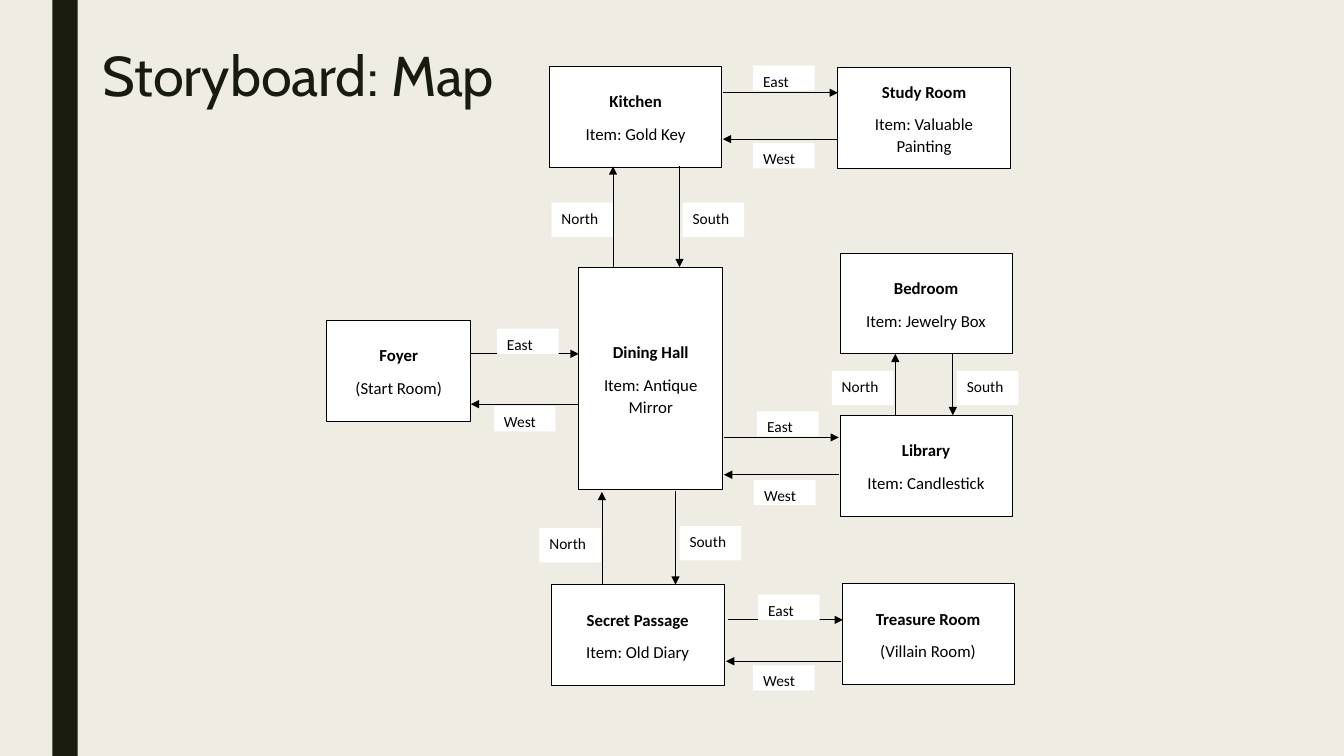
import dataclasses
import typing

import lxml.etree
import pptx
import pptx.dml.color
import pptx.enum.shapes
import pptx.enum.text
import pptx.oxml.ns
import pptx.util

# Grid: one column or row is a tenth of an inch
COLS, ROWS = 133.3, 75
HUES = {"paper": "EFEDE3", "dark": "191B0E", "white": "FFFFFF", "black": "000000"}
STEPS = {"East": (1, 0), "West": (-1, 0), "North": (0, -1), "South": (0, 1)}
MIDDLE = pptx.enum.text.MSO_ANCHOR.MIDDLE
TOP = pptx.enum.text.MSO_ANCHOR.TOP
CENTER = pptx.enum.text.PP_ALIGN.CENTER
LEFT = pptx.enum.text.PP_ALIGN.LEFT

# Text formats
ROOM_PAR = {"alignment": CENTER, "line_spacing": 1.07, "space_after": pptx.util.Pt(8)}
TAG_PAR = {**ROOM_PAR, "alignment": LEFT}
TITLE_PAR = {"alignment": LEFT, "line_spacing": 0.89}
NOTE_FONT = {"name": "Calibri", "size": pptx.util.Pt(12), "bold": False}
NAME_FONT = {**NOTE_FONT, "bold": True}
TAG_FONT = {**NOTE_FONT, "size": pptx.util.Pt(11)}
TITLE_FONT = {"name": "Cabin", "size": pptx.util.Pt(40)}


@dataclasses.dataclass
class Room:
    name: str
    note: str
    col: float
    row: float
    wide: float = 17.1
    tall: float = 10


@dataclasses.dataclass
class Door:
    """An arrow from (col, row) that runs the given way, with its tag."""
    way: str
    col: float
    row: float
    length: float
    tag_col: float
    tag_row: float
    weight: float = 0.5


ROOMS = [
    Room("\N{NO-BREAK SPACE}Kitchen".strip(), "Item: Gold Key", 54.5, 6.6),
    Room("Study Room", "Item: Valuable Painting", 83.1, 6.7),
    Room("Bedroom", "Item: Jewelry Box", 83.3, 25.1),
    Room("Library", "Item: Candlestick", 83.3, 41.2),
    Room("Treasure Room", "(Villain Room)", 83.5, 57.9),
    Room("Foyer", "(Start Room)", 32.4, 31.8, wide=14.3),
    Room("Secret Passage", "Item: Old Diary", 54.7, 58),
    Room("Dining Hall", "Item: Antique Mirror", 57.4, 26.5, 14.3, 22.1),
]
ROOMS[0].name = "Kitchen"
DOORS = [
    Door("East", 71.7, 9.2, 11.4, 74.7, 6.5, 0.75),
    Door("West", 83.1, 13.8, 11.4, 74.7, 14.2),
    Door("North", 60.8, 26.5, 10, 54.7, 20.1),
    Door("South", 67.4, 16.5, 10, 67.7, 20.1),
    Door("East", 46.7, 35.1, 10.7, 49.3, 32.6),
    Door("West", 57.4, 40.1, 10.7, 49, 40.3),
    Door("East", 71.8, 43.4, 11.4, 75.1, 40.8, 0.75),
    Door("West", 83.2, 47.1, 11.4, 74.8, 47.6),
    Door("North", 88.8, 41.2, 6.1, 82.5, 36.8),
    Door("South", 94.5, 35.1, 6.1, 94.9, 36.8),
    Door("North", 59.7, 57.9, 9.1, 53.5, 52.4),
    Door("South", 67, 48.7, 9.3, 67.4, 52.2),
    Door("East", 72.2, 61.5, 11.4, 75.2, 59, 0.75),
    Door("West", 83.4, 65.6, 11.4, 74.7, 66),
]


def grid(*cells: float) -> list[int]:
    return [pptx.util.Inches(cell / 10) for cell in cells]


def hue(key: str) -> pptx.dml.color.RGBColor:
    return pptx.dml.color.RGBColor.from_string(HUES[key])


def style(target: typing.Any, values: dict) -> None:
    for key, value in values.items():
        setattr(target, key, value)


def write(shape, lines: list[tuple[str, dict]], form: dict, ink="black", anchor=TOP) -> None:
    frame = shape.text_frame
    style(frame, {"word_wrap": True, "vertical_anchor": anchor})
    for i, (text, font) in enumerate(lines):
        part = frame.add_paragraph() if i else frame.paragraphs[0]
        style(part, form)
        run = part.add_run()
        run.text = text
        style(run.font, font)
        run.font.color.rgb = hue(ink)


def add_box(slide, place: list[int], fill: str, edge: bool = False):
    box = slide.shapes.add_shape(pptx.enum.shapes.MSO_SHAPE.RECTANGLE, *place)
    box.shadow.inherit = False
    box.fill.solid()
    box.fill.fore_color.rgb = hue(fill)
    if edge:
        box.line.color.rgb = hue("black")
        box.line.width = pptx.util.Pt(0.5)
    else:
        box.line.fill.background()
    return box


def add_room(slide, room: Room) -> None:
    box = add_box(slide, grid(room.col, room.row, room.wide, room.tall), "white", True)
    write(box, [(room.name, NAME_FONT), (room.note, NOTE_FONT)], ROOM_PAR, anchor=MIDDLE)


def add_door(slide, door: Door) -> None:
    across, down = STEPS[door.way]
    end = door.col + across * door.length, door.row + down * door.length
    arrow = slide.shapes.add_connector(
        pptx.enum.shapes.MSO_CONNECTOR.STRAIGHT, *grid(door.col, door.row, *end))
    arrow.line.color.rgb = hue("black")
    arrow.line.width = pptx.util.Pt(door.weight)
    name = pptx.oxml.ns.qn
    lxml.etree.SubElement(arrow.line._get_or_add_ln(), name("a:tailEnd"), type="triangle")
    lxml.etree.SubElement(arrow._element.spPr, name("a:effectLst"))
    tall = 2.5 if across else 3.4
    tag = add_box(slide, grid(door.tag_col, door.tag_row, 6.1, tall), "white")
    write(tag, [(door.way, TAG_FONT)], TAG_PAR)


def main() -> None:
    deck = pptx.Presentation()
    deck.slide_width, deck.slide_height = grid(COLS, ROWS)
    slide = deck.slides.add_slide(deck.slide_layouts[6])

    # Backdrop and side bar
    slide.background.fill.solid()
    slide.background.fill.fore_color.rgb = hue("paper")
    add_box(slide, grid(5.2, 0, 2.5, ROWS), "dark")

    # Title
    title = slide.shapes.add_textbox(*grid(9.2, 4.3, 87, 11.8))
    write(title, [("Storyboard: Map", TITLE_FONT)], TITLE_PAR, "dark")

    # Map
    for room in ROOMS:
        add_room(slide, room)
    for door in DOORS:
        add_door(slide, door)

    deck.save("out.pptx")


if __name__ == "__main__":
    main()
